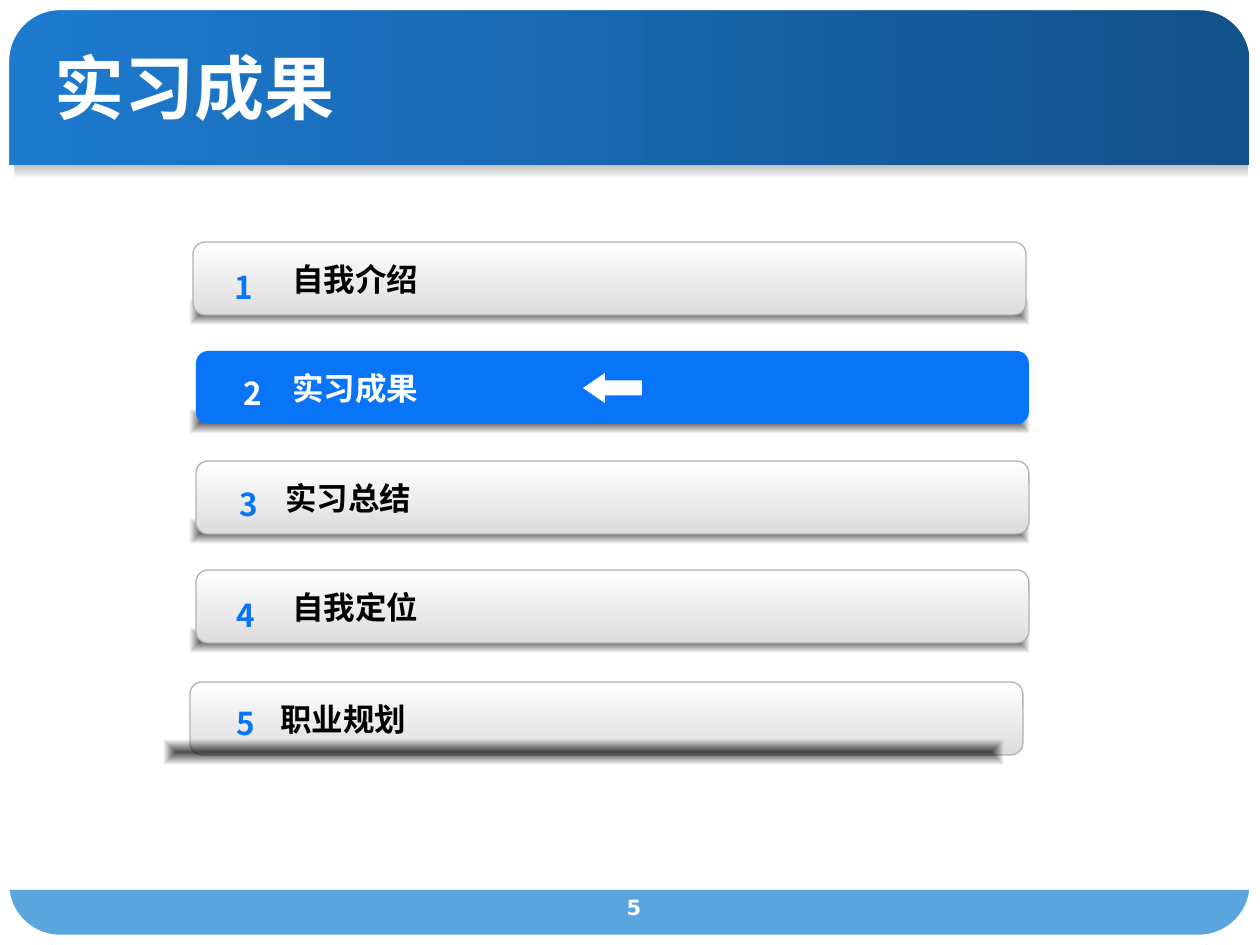
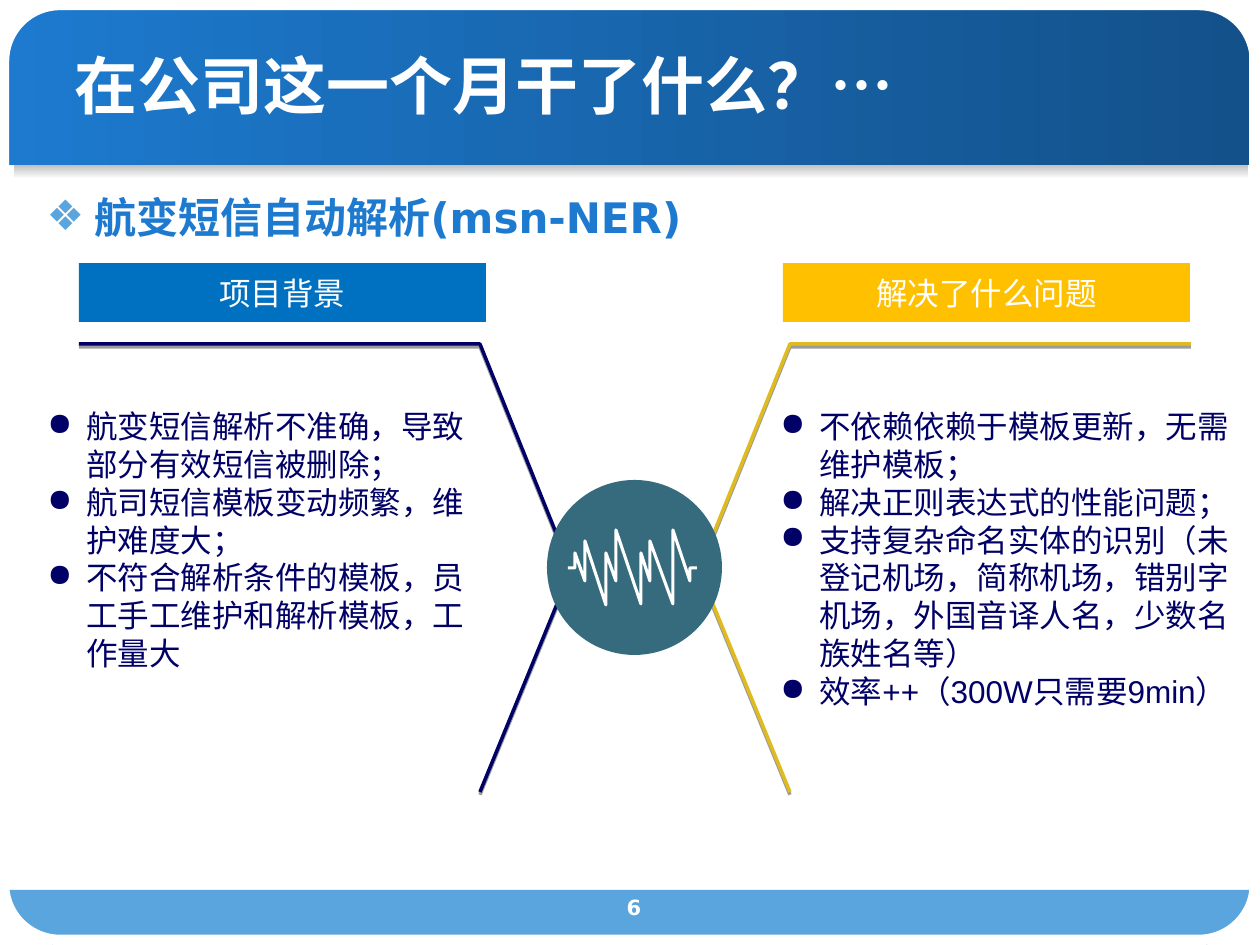
from lxml.etree import SubElement
from pptx import Presentation
from pptx.dml.color import RGBColor
from pptx.enum.shapes import MSO_SHAPE
from pptx.enum.text import MSO_ANCHOR, MSO_AUTO_SIZE, PP_ALIGN
from pptx.oxml.ns import qn
from pptx.util import Inches, Pt

PX = 7257
CJK = "Noto Sans CJK SC"
COLOURS = {
    "white": "FFFFFF", "black": "000000", "band_left": "1D7ACF", "band_right": "13518A",
    "sky": "5AA5DE", "silver": "C0C0C0", "bar_end": "DDDDDD", "bar_edge": "B2B2B2",
    "active": "0875F8", "navy": "000066", "gold": "E0BB20", "blue": "0070C0",
    "amber": "FFC000", "teal": "366B7E",
}


def paint(shape, fills=(), edge=None, width=0.75, angle=0):
    shape.shadow.inherit = False
    if len(fills) == 2:
        shape.fill.gradient()
        shape.fill.gradient_angle = angle
        for stop, name in zip(shape.fill.gradient_stops, fills):
            stop.color.rgb = RGBColor.from_string(COLOURS[name])
    elif fills:
        shape.fill.solid()
        shape.fill.fore_color.rgb = RGBColor.from_string(COLOURS[fills[0]])
    else:
        shape.fill.background()
    if edge:
        shape.line.color.rgb = RGBColor.from_string(COLOURS[edge])
        shape.line.width = Pt(width)
    else:
        shape.line.fill.background()


def write(paragraph, text, size, colour, font=CJK, bold=True, align=PP_ALIGN.LEFT, bullet=None):
    paragraph.text = text
    paragraph.alignment = align
    paragraph.space_before = Pt(0)
    properties = paragraph._p.get_or_add_pPr()
    if bullet:
        mark, mark_colour, indent = bullet
        properties.set("marL", str(indent * PX))
        properties.set("indent", str(-indent * PX))
        SubElement(SubElement(properties, qn("a:buClr")), qn("a:srgbClr"), val=COLOURS[mark_colour])
        SubElement(properties, qn("a:buChar"), char=mark)
    paragraph.font.size = Pt(size)
    paragraph.font.bold = bold
    paragraph.font.color.rgb = RGBColor.from_string(COLOURS[colour])
    paragraph.font.name = font
    SubElement(properties.find(qn("a:defRPr")), qn("a:ea"), typeface=CJK)


prs = Presentation()
prs.slide_width, prs.slide_height = Inches(10), Inches(7.5)
layout = prs.slide_layouts[1]
agenda = prs.slides.add_slide(layout)
project = prs.slides.add_slide(layout)

frame_parts = []
for box, fills, angle in [
    ((0, 1, 1249, 164), ("band_left", "band_right"), 0),
    ((0, 890, 1258, 55), ("sky",), 0),
    ((14, 165, 1234, 14), ("silver", "white"), 270),
]:
    band = agenda.shapes.add_shape(MSO_SHAPE.RECTANGLE, *(v * PX for v in box))
    paint(band, fills, angle=angle)
    frame_parts.append(band)

border = agenda.shapes.add_shape(MSO_SHAPE.ROUNDED_RECTANGLE, *(v * PX for v in (4, 5, 1251, 935)))
border.adjustments[0] = 0.06
paint(border, edge="white", width=6)
frame_parts.append(border)

for start, *rest in [
    [(0, 62), (16, 32), (34, 8), (60, 0), (0, 0)],
    [(53, 945), (25, 924), (5, 903), (0, 872), (0, 945)],
    [(1260, 881), (1245, 912), (1229, 936), (1206, 945), (1260, 945)],
    [(1197, 0), (1229, 18), (1252, 37), (1260, 63), (1260, 0)],
]:
    outline = agenda.shapes.build_freeform(*start, scale=PX)
    outline.add_line_segments(rest)
    corner = outline.convert_to_shape()
    paint(corner, ("white",))
    frame_parts.append(corner)

for number, part in enumerate(frame_parts, 100):
    part.element.nvSpPr.cNvPr.set("id", str(number))
    layout.shapes.element.append(part.element)

for slide, heading, box, size, font, page in [
    (agenda, "实习成果", (42, 48, 1144, 78), 40, "Arial", "5"),
    (project, "在公司这一个月干了什么？…", (62, 45, 1144, 78), 36, CJK, "6"),
]:
    title = slide.shapes.title
    title.left, title.top, title.width, title.height = (v * PX for v in box)
    title.text_frame.auto_size = MSO_AUTO_SIZE.NONE
    title.text_frame.vertical_anchor = MSO_ANCHOR.MIDDLE
    write(title.text_frame.paragraphs[0], heading, size, "white", font)
    page_number = slide.shapes.add_textbox(*(v * PX for v in (571, 888, 126, 44)))
    page_number.text_frame.word_wrap = True
    write(page_number.text_frame.paragraphs[0], page, 12, "white", "DejaVu Sans", align=PP_ALIGN.CENTER)

unused_body = agenda.placeholders[1].element
unused_body.getparent().remove(unused_body)

bar_shadows = []
for left, top in [(190, 300), (190, 409), (190, 519), (190, 628), (164, 740)]:
    bar_shadow = agenda.shapes.add_shape(MSO_SHAPE.RECTANGLE, *(v * PX for v in (left, top, 839, 25)))
    paint(bar_shadow, ("black", "black"))
    gradient = bar_shadow.element.spPr.find(qn("a:gradFill"))
    for tint, alpha in zip(gradient.iter(qn("a:srgbClr")), ("70000", "0")):
        SubElement(tint, qn("a:alpha"), val=alpha)
    gradient.remove(gradient.find(qn("a:lin")))
    centre = SubElement(gradient, qn("a:path"), path="rect")
    SubElement(centre, qn("a:fillToRect"), l="50000", t="50000", r="50000", b="50000")
    bar_shadows.append(bar_shadow)

for number, (topic, left, top, text_left, digit_left, digit_top) in enumerate([
    ("自我介绍", 193, 242, 289, 231, 262),
    ("实习成果", 196, 351, 289, 231, 368),
    ("实习总结", 196, 461, 282, 227, 479),
    ("自我定位", 196, 570, 289, 224, 590),
    ("职业规划", 190, 682, 277, 224, 698),
], 1):
    active = topic == agenda.shapes.title.text
    bar = agenda.shapes.add_shape(MSO_SHAPE.ROUNDED_RECTANGLE, *(v * PX for v in (left, top, 833, 73)))
    if active:
        paint(bar, ("active",))
    else:
        paint(bar, ("white", "bar_end"), "bar_edge", angle=270)
    bar.text_frame.margin_left = (text_left - left) * PX
    bar.text_frame.vertical_anchor = MSO_ANCHOR.MIDDLE
    write(bar.text_frame.paragraphs[0], topic, 18, "white" if active else "black")
    digit = agenda.shapes.add_textbox(*(v * PX for v in (digit_left, digit_top, 16 if number == 1 else 25, 39)))
    digit.text_frame.word_wrap = False
    write(digit.text_frame.paragraphs[0], str(number), 18, "white" if active else "active")
    if number == 5:
        bar.element.addnext(bar_shadows[-1].element)

here_arrow = agenda.shapes.add_shape(MSO_SHAPE.LEFT_ARROW, *(v * PX for v in (583, 373, 59, 30)))
here_arrow.adjustments[0], here_arrow.adjustments[1] = 0.5, 0.73
paint(here_arrow, ("white",))

subject = project.placeholders[1]
subject.left, subject.top, subject.width, subject.height = (v * PX for v in (34, 185, 1201, 615))
subject.text_frame.auto_size = MSO_AUTO_SIZE.NONE
write(subject.text_frame.paragraphs[0], "航变短信自动解析(msn-NER)", 24, "band_left", "DejaVu Sans",
      bullet=("❖", "sky", 48))

branch = [(79, 344), (480, 344), (571, 570), (480, 792)]
mirrored = [(1270 - x, y) for x, y in branch]
for points, colour in [(branch, "navy"), (mirrored, "gold")]:
    outline = project.shapes.build_freeform(*points[0], scale=PX)
    outline.add_line_segments(points[1:], close=False)
    bracket = outline.convert_to_shape()
    paint(bracket, edge=colour, width=2)
    effects = bracket.element.spPr.find(qn("a:effectLst"))
    cast = SubElement(effects, qn("a:outerShdw"), dist=str(Pt(1.6)), dir="5400000", rotWithShape="0")
    SubElement(SubElement(cast, qn("a:srgbClr"), val=COLOURS["black"]), qn("a:alpha"), val="38000")

for label, left, colour, list_left, list_width, list_height, points in [
    ("项目背景", 79, "blue", 35, 466, 277, [
        "航变短信解析不准确，导致部分有效短信被删除；",
        "航司短信模板变动频繁，维护难度大；",
        "不符合解析条件的模板，员工手工维护和解析模板，工作量大",
    ]),
    ("解决了什么问题", 783, "amber", 768, 484, 391, [
        "不依赖依赖于模板更新，无需维护模板；",
        "解决正则表达式的性能问题；",
        "支持复杂命名实体的识别（未登记机场，简称机场，错别字机场，外国音译人名，少数名族姓名等）",
        "效率++（300W只需要9min）",
    ]),
]:
    header = project.shapes.add_shape(MSO_SHAPE.RECTANGLE, *(v * PX for v in (left, 263, 407, 59)))
    paint(header, (colour,))
    header.text_frame.vertical_anchor = MSO_ANCHOR.MIDDLE
    write(header.text_frame.paragraphs[0], label, 18, "white", bold=False, align=PP_ALIGN.CENTER)
    details = project.shapes.add_textbox(*(v * PX for v in (list_left, 401, list_width, list_height))).text_frame
    details.word_wrap = True
    for index, point in enumerate(points):
        paragraph = details.add_paragraph() if index else details.paragraphs[0]
        paragraph.line_spacing = Pt(21.6)
        write(paragraph, point, 18, "navy", "Arial", bold=False, bullet=("●", "navy", 39))

hub = project.shapes.add_shape(MSO_SHAPE.OVAL, *(v * PX for v in (547, 480, 175, 175)))
paint(hub, ("teal",))
pulse = project.shapes.build_freeform(568, 568, scale=PX)
pulse.add_line_segments([
    (575, 568), (575, 553), (585, 581), (585, 541), (606, 605), (606, 553), (616, 581), (616, 530), (641, 604),
    (641, 553), (650, 581), (650, 541), (673, 604), (673, 530), (690, 581), (690, 568), (697, 568),
], close=False)
paint(pulse.convert_to_shape(), edge="white", width=1.75)

prs.save("out.pptx")
